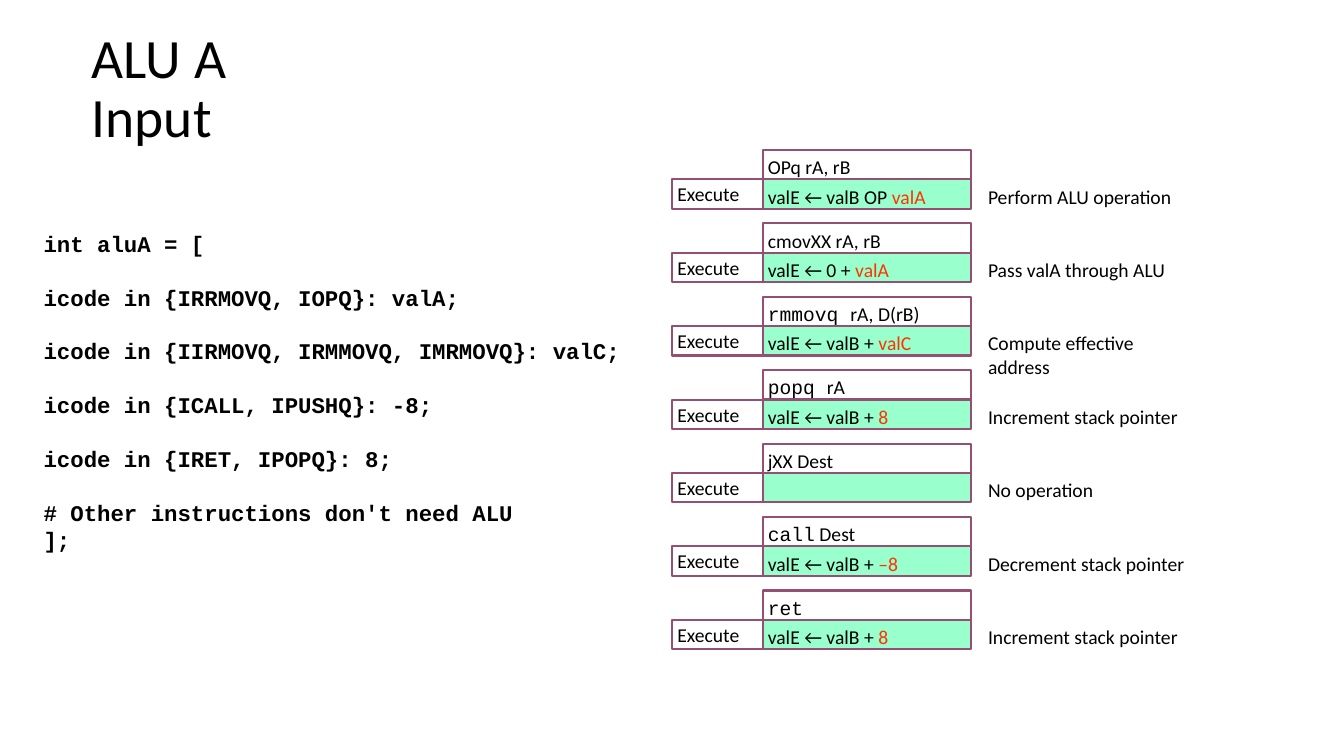
from pptx import Presentation
from pptx import util as u
from pptx.dml.color import RGBColor
from pptx.enum import shapes, text

BLACK = RGBColor(0x00, 0x00, 0x00)
RED = RGBColor(0xFF, 0x33, 0x00)
MINT = RGBColor(0x99, 0xFF, 0xCC)
PLUM = RGBColor(0x95, 0x4F, 0x72)
SANS, MONO = "Calibri", "Courier New"


def write(para, words, font=SANS, size=14, color=BLACK, bold=False):
    """Add one formatted run to a paragraph."""
    run = para.add_run()
    run.text = words
    run.font.name = font
    run.font.size = u.Pt(size)
    run.font.color.rgb = color
    run.font.bold = bold


class Deck:
    inset = u.Cm(0.13)
    edge = u.Pt(1.5)

    def __init__(self):
        self.prs = Presentation()
        self.prs.slide_width = u.Cm(33.87)
        self.prs.slide_height = u.Cm(19.05)
        self.slide = self.prs.slides.add_slide(self.prs.slide_layouts[5])

    def frame(self, shape, anchor=text.MSO_ANCHOR.TOP):
        body = shape.text_frame
        body.word_wrap = True
        body.vertical_anchor = anchor
        body.margin_left = body.margin_right = self.inset
        body.margin_top = body.margin_bottom = self.inset
        body.paragraphs[0].alignment = text.PP_ALIGN.LEFT
        return body

    def title(self, words, *place):
        shape = self.slide.shapes.title
        shape.left, shape.top, shape.width, shape.height = map(u.Cm, place)
        body = shape.text_frame
        body.vertical_anchor = text.MSO_ANCHOR.MIDDLE
        body.auto_size = text.MSO_AUTO_SIZE.NONE
        para = body.paragraphs[0]
        para.alignment = text.PP_ALIGN.LEFT
        para.line_spacing = 0.9
        for i, line in enumerate(words.split("\n")):
            if i:
                para.add_line_break()
            write(para, line, size=39.6)

    def label(self, words, *place):
        box = self.slide.shapes.add_textbox(*map(u.Cm, place))
        write(self.frame(box).paragraphs[0], words)

    def code(self, blocks, pitch, *place):
        """Write blocks of lines, parted by the height of one line."""
        box = self.slide.shapes.add_textbox(*map(u.Cm, place))
        body = self.frame(box)
        first = True
        for block in blocks:
            for i, line in enumerate(block):
                para = body.paragraphs[0] if first else body.add_paragraph()
                para.line_spacing = u.Pt(pitch)
                para.space_before = u.Pt(0 if first or i else pitch)
                write(para, line, font=MONO, size=16, bold=True)
                first = False

    def cell(self, runs, *place, fill=None, anchor=text.MSO_ANCHOR.TOP):
        rect = self.slide.shapes.add_shape(
            shapes.MSO_SHAPE.RECTANGLE, *map(u.Cm, place))
        rect.shadow.inherit = False
        if fill is None:
            rect.fill.background()
        else:
            rect.fill.solid()
            rect.fill.fore_color.rgb = fill
        rect.line.color.rgb = PLUM
        rect.line.width = self.edge
        para = self.frame(rect, anchor).paragraphs[0]
        for words, style in runs:
            write(para, words, **style)


CODE = [
    ["int aluA = ["],
    ["icode in {IRRMOVQ, IOPQ}: valA;"],
    ["icode in {IIRMOVQ, IRMMOVQ, IMRMOVQ}: valC;"],
    ["icode in {ICALL, IPUSHQ}: -8;"],
    ["icode in {IRET, IPOPQ}: 8;"],
    ["# Other instructions don't need ALU", "];"],
]

# Mnemonic in code font, rest of the head, formula, ALU A operand, remark
STEPS = [
    ("", "OPq rA, rB", "valE ← valB OP ", "valA", "Perform ALU operation"),
    ("", "cmovXX rA, rB", "valE ← 0 + ", "valA", "Pass valA through ALU"),
    ("rmmovq ", "rA, D(rB)", "valE ← valB + ", "valC",
     "Compute effective address"),
    ("popq ", "rA", "valE ← valB + ", "8", "Increment stack pointer"),
    ("", "jXX Dest", "", "", "No operation"),
    ("call", " Dest", "valE ← valB + ", "–8", "Decrement stack pointer"),
    ("ret", "", "valE ← valB + ", "8", "Increment stack pointer"),
]


def pair(one, one_style, two, two_style):
    both = [(one, one_style), (two, two_style)]
    return [(words, style) for words, style in both if words]


def main():
    deck = Deck()
    deck.title("ALU A\nInput", 2.06, 1.19, 24.23, 2.16)

    # Control logic
    deck.code(CODE, 19.25, 0.97, 5.66, 15.09, 8.46)

    # Execute stage of each instruction
    left, mid, note = 16.94, 19.22, 24.77
    wide, high = 5.26, 0.74
    top, step = 3.78, 1.85
    for i, (op, args, sum_, operand, remark) in enumerate(STEPS):
        head = top + i * step
        row = head + high
        deck.cell(pair(op, {"font": MONO}, args, {}), mid, head, wide, high)
        deck.cell([("Execute", {})], left, row, mid - left, high,
                  anchor=text.MSO_ANCHOR.MIDDLE)
        deck.cell(pair(sum_, {}, operand, {"color": RED}),
                  mid, row, wide, high, fill=MINT)
        deck.label(remark, note, row, wide, high)

    deck.prs.save("out.pptx")


if __name__ == "__main__":
    main()
